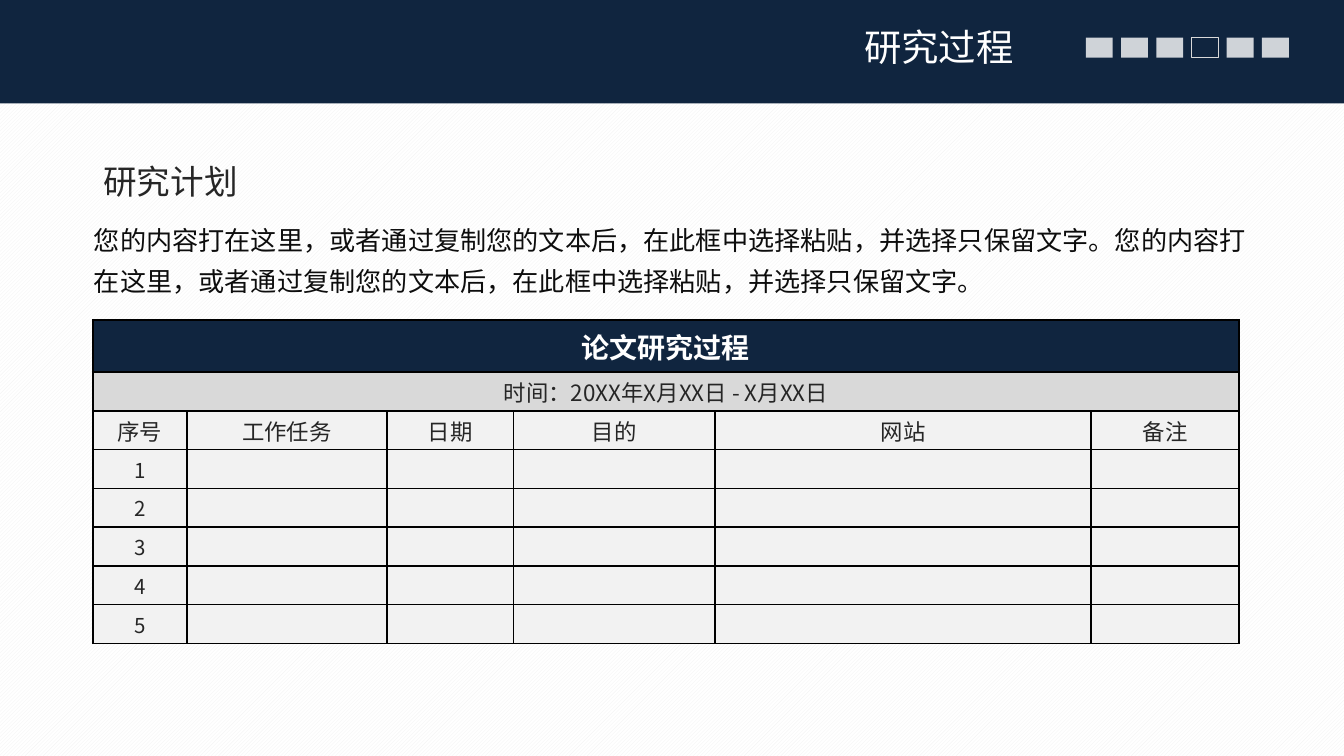
from lxml import etree
from pptx import Presentation
from pptx.dml.color import RGBColor
from pptx.enum.dml import MSO_PATTERN
from pptx.enum.shapes import MSO_SHAPE
from pptx.enum.text import MSO_ANCHOR, PP_ALIGN
from pptx.oxml.ns import qn
from pptx.util import Inches, Pt

RECT = MSO_SHAPE.RECTANGLE
HATCH = MSO_PATTERN.LIGHT_UPWARD_DIAGONAL
MIDDLE = MSO_ANCHOR.MIDDLE
LEFT, CENTER, RIGHT = PP_ALIGN.LEFT, PP_ALIGN.CENTER, PP_ALIGN.RIGHT

WIDTH = 10
HEIGHT = WIDTH * 9 / 16
FONT = "Noto Sans CJK SC"
NAVY, WHITE, INK = "10253F", "FFFFFF", "262626"
GREY, PALE, BLACK = "D9D9D9", "F2F2F2", "000000"

# Section markers in the header
MARKER_COUNT, CURRENT = 6, 3
MARKER_LEFT, MARKER_PITCH = 8.08, 1.31 / 5

# Research table
COLUMNS = [0.7, 1.49, 0.94, 1.5, 2.8, 1.1]
HEADINGS = ["序号", "工作任务", "日期", "目的", "网站", "备注"]
TASK_COUNT = 5
TABLE_HEIGHT, TITLE_HEIGHT = 2.41, 0.39

BODY = ("您的内容打在这里，或者通过复制您的文本后，在此框中选择粘贴，并选择只保留文字。"
        "您的内容打在这里，或者通过复制您的文本后，在此框中选择粘贴，并选择只保留文字。")


def color(value):
    return RGBColor.from_string(value)


def paint(fill, value):
    fill.solid()
    fill.fore_color.rgb = color(value)


def style(para, size, value, align=LEFT, bold=False):
    para.alignment = align
    font = para.font
    font.size, font.bold, font.name = Pt(size), bold, FONT
    font.color.rgb = color(value)
    east_asian = etree.SubElement(para._p.pPr.find(qn("a:defRPr")), qn("a:ea"))
    east_asian.set("typeface", FONT)


def add_rect(page, left, top, width, height, fill=None, opacity=100, line=None):
    box = page.shapes.add_shape(RECT, *map(Inches, (left, top, width, height)))
    box.shadow.inherit = False
    if fill:
        paint(box.fill, fill)
    else:
        box.fill.background()
    if opacity < 100:
        tint = box._element.spPr.find(".//" + qn("a:srgbClr"))
        etree.SubElement(tint, qn("a:alpha")).set("val", str(opacity * 1000))
    if line:
        box.line.color.rgb = color(line)
        box.line.width = Pt(0.5)
    else:
        box.line.fill.background()


def add_text(page, text, left, top, width, height, size, value,
             align=LEFT, wrap=True, spacing=None):
    box = page.shapes.add_textbox(*map(Inches, (left, top, width, height)))
    box.text_frame.word_wrap = wrap
    para = box.text_frame.paragraphs[0]
    para.text = text
    para.line_spacing = spacing
    style(para, size, value, align)


def add_borders(cell):
    props = cell._tc.get_or_add_tcPr()
    for index, side in enumerate(("lnL", "lnR", "lnT", "lnB")):
        line = etree.Element(qn("a:" + side), w=str(Pt(1)))
        solid = etree.SubElement(line, qn("a:solidFill"))
        etree.SubElement(solid, qn("a:srgbClr")).set("val", BLACK)
        props.insert(index, line)


def fill_cell(cell, text, fill, size, value=INK, bold=False):
    cell.margin_left = cell.margin_right = Inches(0.01)
    cell.margin_top = cell.margin_bottom = 0
    cell.vertical_anchor = MIDDLE
    para = cell.text_frame.paragraphs[0]
    para.text = text
    style(para, size, value, CENTER, bold)
    paint(cell.fill, fill)
    add_borders(cell)


def add_header(page):
    add_rect(page, 0, 0, WIDTH, 0.77, NAVY)
    for index in range(MARKER_COUNT):
        look = {"line": GREY} if index == CURRENT else {"fill": WHITE, "opacity": 80}
        add_rect(page, MARKER_LEFT + index * MARKER_PITCH, 0.28, 0.2, 0.15, **look)
    add_text(page, "研究过程", 3.55, 0.13, 4.09, 0.5, 20, WHITE, RIGHT)


def add_plan_table(page):
    blanks = [""] * (len(COLUMNS) - 1)
    # Each row: texts, fill, size, text colour, bold
    rows = [
        (["论文研究过程"] + blanks, NAVY, 15, WHITE, True),
        (["时间：20XX年X月XX日 - X月XX日"] + blanks, GREY, 12, INK, False),
        (HEADINGS, PALE, 12, INK, False),
    ]
    rows += [([str(number)] + blanks, PALE, 11, INK, False)
             for number in range(1, TASK_COUNT + 1)]
    frame = page.shapes.add_table(
        len(rows), len(COLUMNS), Inches(0.69), Inches(2.38),
        Inches(sum(COLUMNS)), Inches(TABLE_HEIGHT))
    table = frame.table
    for column, width in zip(table.columns, COLUMNS):
        column.width = Inches(width)
    row_height = (TABLE_HEIGHT - TITLE_HEIGHT) / (len(rows) - 1)
    for r, (texts, *look) in enumerate(rows):
        table.rows[r].height = Inches(row_height if r else TITLE_HEIGHT)
        for c, text in enumerate(texts):
            fill_cell(table.cell(r, c), text, *look)
    # The title and the period run across all columns
    for r in range(2):
        table.cell(r, 0).merge(table.cell(r, len(COLUMNS) - 1))


def main():
    deck = Presentation()
    deck.slide_width, deck.slide_height = Inches(WIDTH), Inches(HEIGHT)
    page = deck.slides.add_slide(deck.slide_layouts[6])

    # Hatched background
    backdrop = page.background.fill
    backdrop.patterned()
    backdrop.pattern = HATCH
    backdrop.fore_color.rgb = color(PALE)
    backdrop.back_color.rgb = color(WHITE)

    add_header(page)
    add_text(page, "研究计划", 0.67, 1.15, 1.21, 0.4, 18, INK, wrap=False)
    add_text(page, BODY, 0.6, 1.55, 8.79, 0.68, 14, "0D0D0D", spacing=1.3)
    add_plan_table(page)
    deck.save("out.pptx")


if __name__ == "__main__":
    main()
